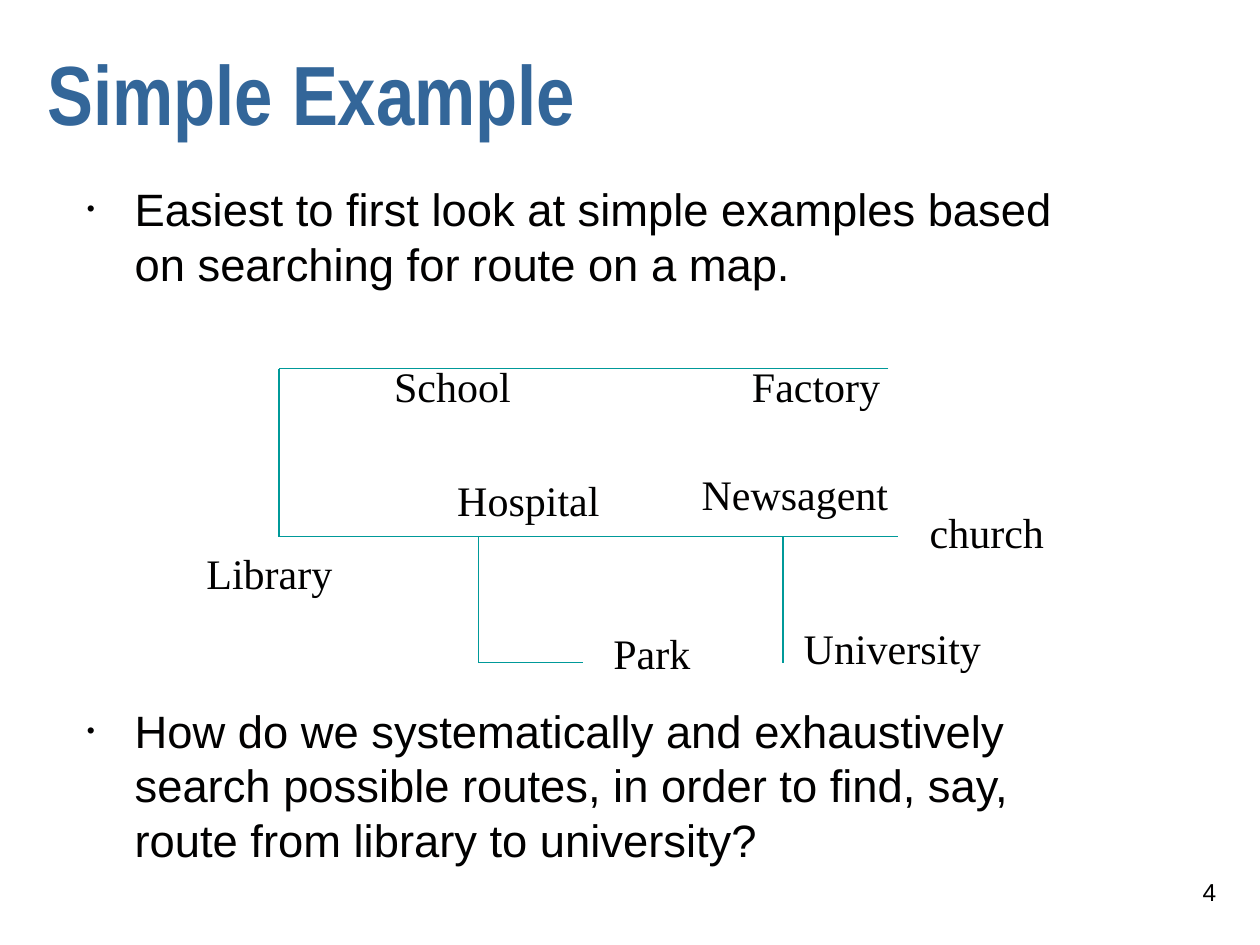
from dataclasses import dataclass

from lxml.etree import SubElement
from pptx import Presentation
from pptx.dml.color import RGBColor
from pptx.enum.shapes import MSO_CONNECTOR
from pptx.enum.text import MSO_ANCHOR, MSO_AUTO_SIZE, PP_ALIGN
from pptx.oxml.ns import qn
from pptx.util import Inches, Pt


@dataclass(frozen=True)
class Theme:
    heading: RGBColor = RGBColor(0x33, 0x66, 0x99)
    ink: RGBColor = RGBColor(0x01, 0x00, 0x00)
    road: RGBColor = RGBColor(0x00, 0x99, 0x99)
    title_size: float = 48
    body_size: float = 25.9
    label_size: float = 24
    number_size: float = 14


theme = Theme()
presentation = Presentation()
presentation.slide_width, presentation.slide_height = Inches(10), Inches(7.5)
slide = presentation.slides.add_slide(presentation.slide_layouts[5])
unit = presentation.slide_width / 100  # square grid: 100 columns by 75 rows


def grid(*steps):
    return [round(step * unit) for step in steps]


def style(paragraph, name, size, color, bold=False):
    for run in paragraph.runs:
        run.font.name, run.font.size, run.font.bold = name, Pt(size), bold
        run.font.color.rgb = color


# Title
title = slide.shapes.title
title.left, title.top, title.width, title.height = grid(2.75, 2.05, 85, 12.5)
title.text_frame.text = "Simple Example"
title.text_frame.vertical_anchor = MSO_ANCHOR.MIDDLE
heading = title.text_frame.paragraphs[0]
heading.alignment, heading.line_spacing = PP_ALIGN.LEFT, 0.7
style(heading, "Arial Narrow", theme.title_size, theme.heading, bold=True)

# Bullets, with room for the map between them
body = slide.shapes.add_textbox(*grid(5.9, 13.9, 83.2, 57.5)).text_frame
body.word_wrap = True
body.text = (
    "Easiest to first look at simple examples based on searching for route on a map.\n"
    "How do we systematically and exhaustively search possible routes, "
    "in order to find, say, route from library to university?"
)
for paragraph, space_before in zip(body.paragraphs, (0, 236)):
    properties = paragraph._p.get_or_add_pPr()
    properties.set("marL", str(Inches(0.38)))
    properties.set("indent", str(-Inches(0.38)))
    SubElement(properties, qn("a:buSzPct")).set("val", "50000")
    SubElement(properties, qn("a:buFont")).set("typeface", "Arial")
    SubElement(properties, qn("a:buChar")).set("char", "•")
    paragraph.space_before = Pt(space_before)
    paragraph.line_spacing = 1.0
    style(paragraph, "Arial", theme.body_size, theme.ink)

# Roads of the map
west, park_turn, park_end, university_turn, east = 22.15, 38, 46.3, 62.15, 71.3
north, middle, south = 29.25, 42.6, 52.6
roads = [
    (70.5, north, west, north),
    (west, north, west, middle),
    (west, middle, east, middle),
    (park_turn, middle, park_turn, south),
    (park_turn, south, park_end, south),
    (university_turn, middle, university_turn, south),
]
for ends in roads:
    road = slide.shapes.add_connector(MSO_CONNECTOR.STRAIGHT, *grid(*ends))
    road.line.color.rgb, road.line.width = theme.road, Pt(0.75)
    SubElement(road._element.spPr, qn("a:effectLst"))

# Places on the map: name, column, row, width
places = [
    ("Factory", 58.7, 28.1, 12.7),
    ("School", 30.3, 28.1, 11.7),
    ("Library", 15.4, 43, 12.5),
    ("Hospital", 35.3, 37.2, 13.8),
    ("Park", 47.7, 49.3, 8.6),
    ("Newsagent", 54.7, 36.7, 17.3),
    ("University", 62.8, 48.9, 16.5),
    ("church", 72.8, 39.7, 11.5),
]
for name, column, row, width in places:
    label = slide.shapes.add_textbox(*grid(column, row, width, 5)).text_frame
    label.word_wrap, label.auto_size = True, MSO_AUTO_SIZE.NONE
    label.text = name
    style(label.paragraphs[0], "Times New Roman", theme.label_size, theme.ink)

# Slide number
number = slide.shapes.add_textbox(*grid(76.7, 68.3, 20.8, 5)).text_frame
number.word_wrap, number.vertical_anchor = True, MSO_ANCHOR.MIDDLE
number.text = "4"
number.paragraphs[0].alignment = PP_ALIGN.RIGHT
style(number.paragraphs[0], "Arial", theme.number_size, theme.ink)

presentation.save("out.pptx")
